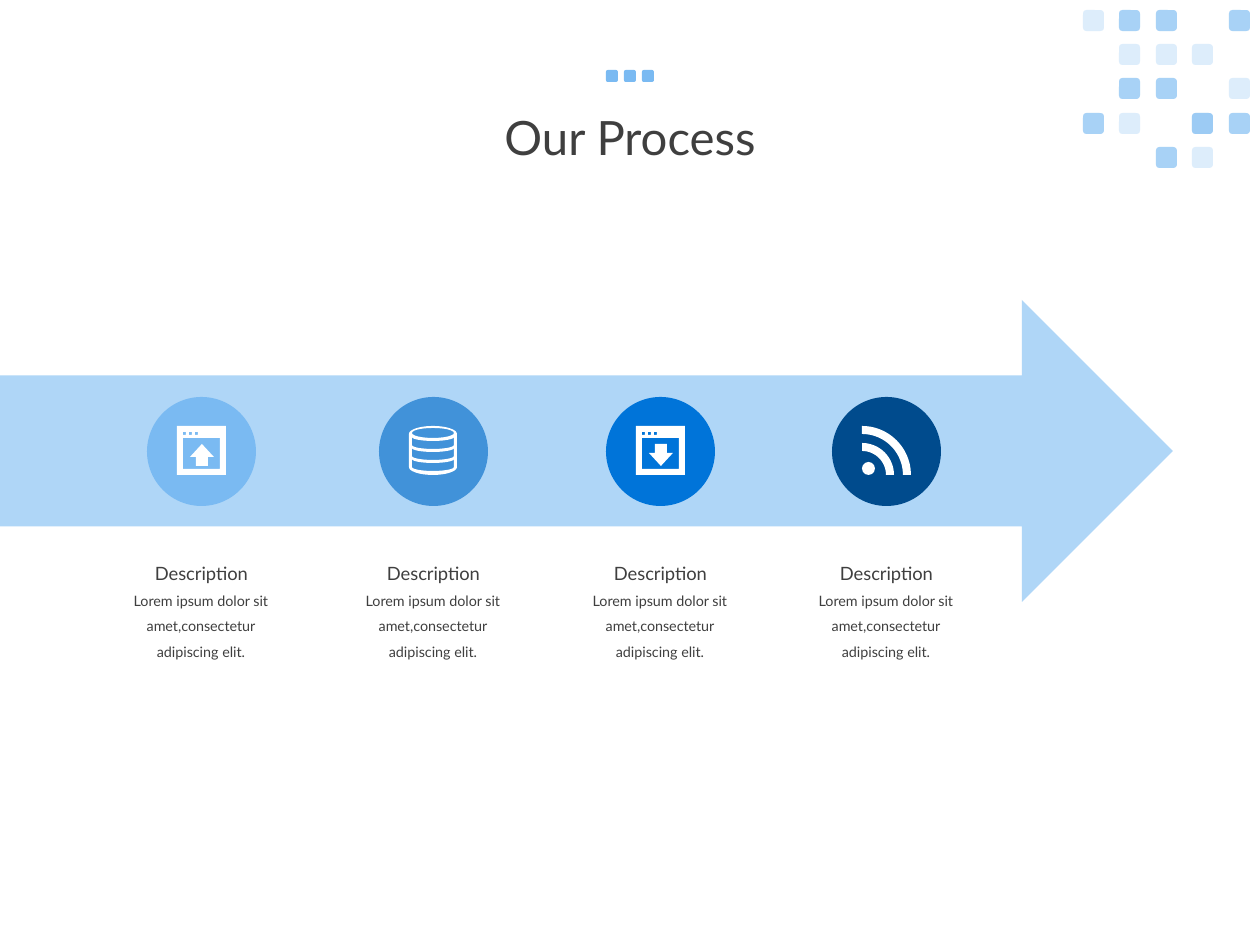
"""Build the "Our Process" slide: a wide arrow with four icon steps."""
from math import cos, pi, sin

from lxml import etree
from pptx import Presentation
from pptx.dml.color import RGBColor
from pptx.enum.shapes import MSO_SHAPE
from pptx.enum.text import MSO_ANCHOR, MSO_AUTO_SIZE, PP_ALIGN
from pptx.oxml.ns import qn
from pptx.util import Pt

ROUND, OVAL = MSO_SHAPE.ROUNDED_RECTANGLE, MSO_SHAPE.OVAL
ARROW = MSO_SHAPE.NOTCHED_RIGHT_ARROW
MIDDLE, TOP = MSO_ANCHOR.MIDDLE, MSO_ANCHOR.TOP
GROW, FIXED = MSO_AUTO_SIZE.SHAPE_TO_FIT_TEXT, MSO_AUTO_SIZE.NONE
CENTER = PP_ALIGN.CENTER

PX = 914400 / 126
HUES = {"sky": "7ABAF2", "band": "AFD6F7", "blue": "4192D9", "deep": "0074D9",
        "navy": "004B8D", "white": "FFFFFF", "ink": "3F3F3F"}

TITLE = "Our Process"
HEAD = "Description"
BODY = "Lorem ipsum dolor sit amet,consectetur adipiscing elit."
STEPS = [(201, "sky", "up"), (433, "blue", "disk"),
         (660, "deep", "down"), (886, "navy", "feed")]
TILES = ["L D D - D", "- L L L -", "- D D - L", "D L - DL D", "- - D L -"]
ALPHA = {"L": 25, "D": 65}

FORMS = {
    "title": {"frame": {"word_wrap": True, "vertical_anchor": MIDDLE, "auto_size": FIXED},
              "para": {"line_spacing": 0.9}, "size": 27},
    "head": {"frame": {"word_wrap": False, "vertical_anchor": TOP, "auto_size": GROW},
             "para": {}, "size": 10.5},
    "body": {"frame": {"word_wrap": True, "vertical_anchor": TOP, "auto_size": GROW},
             "para": {"line_spacing": 1.5}, "size": 8.2},
}


def emu(*nums):
    return [round(n * PX) for n in nums]


def tint(shape, hue, alpha=100):
    shape.shadow.inherit = False
    shape.line.fill.background()
    shape.fill.solid()
    shape.fill.fore_color.rgb = RGBColor.from_string(HUES[hue])
    if alpha < 100:
        clr = shape.element.spPr.find(".//" + qn("a:srgbClr"))
        etree.SubElement(clr, qn("a:alpha"), val=str(alpha * 1000))


def block(pen, kind, box, hue, alpha=100):
    tint(pen.add_shape(kind, *emu(*box)), hue, alpha)


def trace(pen, x, y, *loops):
    loops = [[emu(x + a, y + b) for a, b in loop] for loop in loops]
    form = pen.build_freeform(*loops[0][0], scale=1.0)
    for i, loop in enumerate(loops):
        if i:
            form.move_to(*loop[0])
        form.add_line_segments(loop[1:], close=True)
    tint(form.convert_to_shape(), "white")


def write(pen, text, box, name):
    form = FORMS[name]
    frame = pen.add_textbox(*emu(*box)).text_frame
    para = frame.paragraphs[0]
    run = para.add_run()
    run.text = text
    font = {"name": "Lato", "size": Pt(form["size"])}
    for part, vals in ((frame, form["frame"]), (run.font, font),
                       (para, {"alignment": CENTER, **form["para"]})):
        for key, val in vals.items():
            setattr(part, key, val)
    run.font.color.rgb = RGBColor.from_string(HUES["ink"])


def arc(x, y, wide, high, start, end, count=24):
    turns = [(start + (end - start) * i / count) * pi / 180 for i in range(count + 1)]
    return [(x + wide * cos(t), y + high * sin(t)) for t in turns]


def rect(x, y, wide, high):
    return [(x, y), (x + wide, y), (x + wide, y + high), (x, y + high)]


def window(pen, x, y, down):
    dots = [rect(left, 6, 3, 3) for left in (6, 12, 18)]
    trace(pen, x, y, rect(0, 0, 49, 49), *dots, rect(6, 12, 37, 31))
    tip = [(19, 40), (31, 40), (31, 31), (37, 31), (25, 18), (13, 31), (19, 31)]
    trace(pen, x, y, [(a, 58 - b) if down else (a, b) for a, b in tip])


def disk(pen, x, y):
    shell = arc(24, 8, 24, 8, 180, 360) + arc(24, 41, 24, 8, 0, 180)
    bands = [arc(24, top, 21, 4, 180, 0) + arc(24, top + 8, 21, 4, 0, 180)
             for top in (11, 22, 33)]
    trace(pen, x, y, shell, arc(24, 7, 21, 5, 0, 360), *bands)


def feed(pen, x, y):
    block(pen, OVAL, (x, y + 36, 13, 13), "white")
    for far, near in ((32, 24), (49, 41)):
        trace(pen, x, y, arc(0, 49, far, far, 270, 360) + arc(0, 49, near, near, 360, 270))


def icon(pen, kind, x, y):
    if kind == "disk":
        disk(pen, x, y)
    elif kind == "feed":
        feed(pen, x, y)
    else:
        window(pen, x, y, kind == "down")


def main():
    deck = Presentation()
    deck.slide_width, deck.slide_height = emu(1260, 945)
    pen = deck.slides.add_slide(deck.slide_layouts[6]).shapes

    write(pen, TITLE, (87, 49, 1086, 183), "title")
    tiles = pen.add_group_shape().shapes
    for row, line in enumerate(TILES):
        for col, marks in enumerate(line.split()):
            for mark in marks.strip("-"):
                box = (1083 + 73 * col // 2, 10 + 103 * row // 3, 21, 21)
                block(tiles, ROUND, box, "sky", ALPHA[mark])
    dots = pen.add_group_shape().shapes
    for i in range(3):
        block(dots, ROUND, (606 + 18 * i, 70, 12, 12), "sky")

    block(pen, ARROW, (-77, 300, 1250, 302), "band")
    for mid, hue, kind in STEPS:
        block(pen, OVAL, (mid - 54, 397, 109, 109), hue)
        icon(pen.add_group_shape().shapes, kind, mid - 24, 426)
        write(pen, HEAD, (mid - 62, 556, 125, 35), "head")
        write(pen, BODY, (mid - 94, 577, 188, 88), "body")
    deck.save("out.pptx")


if __name__ == "__main__":
    main()
